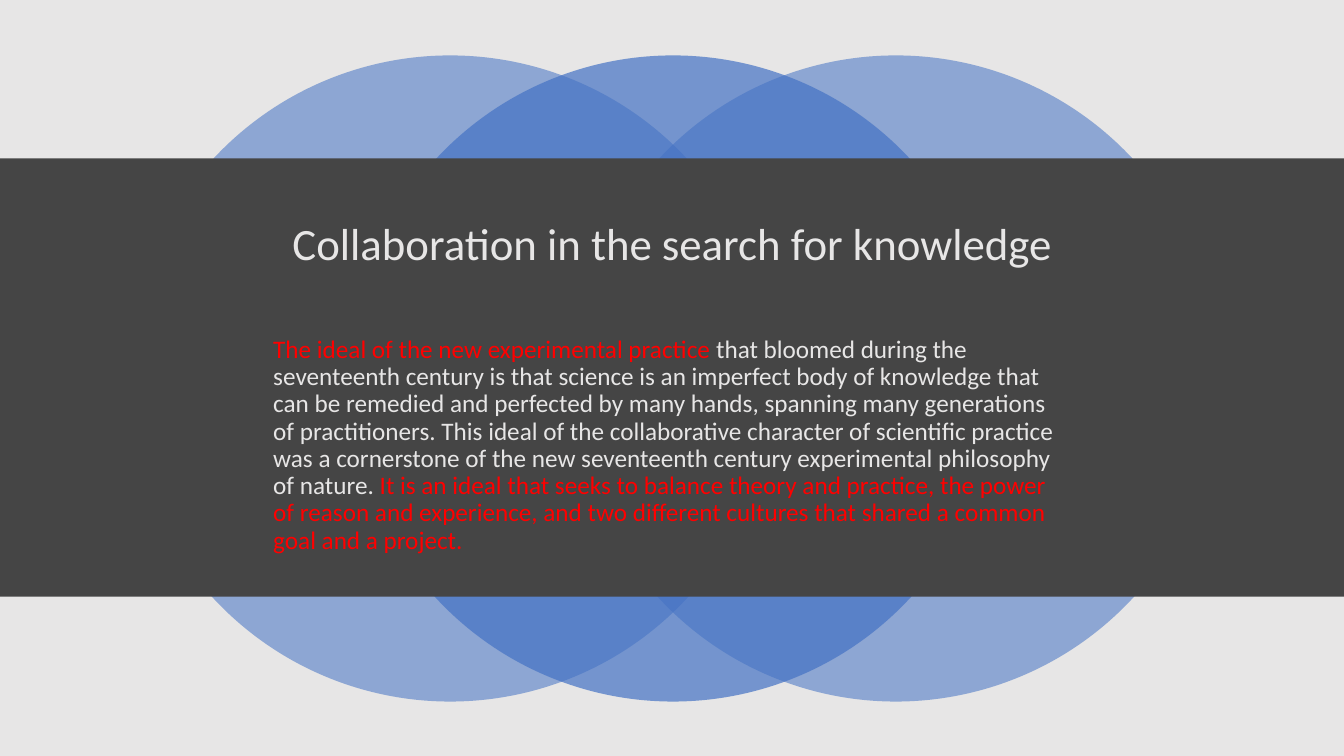
from dataclasses import dataclass

from lxml import etree
from pptx import Presentation
from pptx.dml.color import RGBColor
from pptx.enum import shapes, text
from pptx.oxml import ns
from pptx.util import Inches, Pt


@dataclass(frozen=True)
class Theme:
    dark: str = "454545"
    light: str = "E7E6E6"
    blue: str = "4472C4"
    red: str = "FF0000"
    font: str = "Calibri"
    head: int = 32
    body: int = 18


THEME = Theme()
TITLE = "Collaboration in the search for knowledge"
BODY = [
    ("The ideal of the new experimental practice ", THEME.red),
    ("that bloomed during the seventeenth century is that science is an "
     "imperfect body of knowledge that can be remedied and perfected by many "
     "hands, spanning many generations of practitioners. This ideal of the "
     "collaborative character of scientific practice was a cornerstone of the "
     "new seventeenth century experimental philosophy of nature. ", THEME.light),
    ("It is an ideal that seeks to balance theory and practice, the power of "
     "reason and experience, and two different cultures that shared a common "
     "goal and a project.", THEME.red),
]


def put(item, form):
    for name, value in form.items():
        setattr(item, name, value)


def place(item, box):
    put(item, dict(zip(("left", "top", "width", "height"), map(Inches, box))))


def draw(parent, kind, box, color, alpha=100):
    """Add a plain filled shape, its opacity given in percent."""
    shape = parent.shapes.add_shape(kind, *map(Inches, box))
    shape.shadow.inherit = False
    shape.fill.solid()
    shape.fill.fore_color.rgb = RGBColor.from_string(color)
    shape.line.fill.background()
    if alpha < 100:
        tint = shape._element.spPr.find(".//" + ns.qn("a:srgbClr"))
        etree.SubElement(tint, ns.qn("a:alpha"), val=str(alpha * 1000))


def rings(slide, box):
    """Overlap three circles across the box, the middle one in front."""
    left, top, width, size = box
    group = slide.shapes.add_group_shape()
    step = (width - size) / 2
    for spot, alpha in ((0, 55), (2, 55), (1, 70)):
        draw(group, shapes.MSO_SHAPE.OVAL,
             (left + spot * step, top, size, size), THEME.blue, alpha)


def write(holder, box, runs, size, frame, para):
    """Fill a placeholder with one paragraph and bring it to the front."""
    place(holder, box)
    body = holder.text_frame
    put(body, {"word_wrap": True, "auto_size": text.MSO_AUTO_SIZE.NONE, **frame})
    line = body.paragraphs[0]
    put(line, {"line_spacing": 0.9, **para})
    props = line._p.get_or_add_pPr()
    props.set("marL", "0")
    props.set("indent", "0")
    etree.SubElement(props, ns.qn("a:buNone"))
    for words, color in runs:
        run = line.add_run()
        run.text = words
        put(run.font, {"size": Pt(size), "name": THEME.font})
        run.font.color.rgb = RGBColor.from_string(color)
    tree = holder._element.getparent()
    tree.append(holder._element)


def band(slide, box):
    """Lay the dark band with the title and the body text on it."""
    left, top, width, height = box
    draw(slide, shapes.MSO_SHAPE.RECTANGLE, box, THEME.dark)
    title, body = slide.placeholders
    write(title, (left + 0.92, top + 0.36, width - 1.83, 1.02),
          [(TITLE, THEME.light)], THEME.head,
          {"vertical_anchor": text.MSO_ANCHOR.MIDDLE},
          {"alignment": text.PP_ALIGN.CENTER, "space_before": Pt(0)})
    write(body, (left + 2.61, top + 1.72, width - 5.21, height - 2.04),
          BODY, THEME.body,
          {"vertical_anchor": text.MSO_ANCHOR.TOP},
          {"alignment": text.PP_ALIGN.LEFT, "space_before": Pt(10)})


def main():
    wide, high = 13.33, 7.5
    deck = Presentation()
    put(deck, {"slide_width": Inches(wide), "slide_height": Inches(high)})
    slide = deck.slides.add_slide(deck.slide_layouts[1])
    back = slide.background.fill
    back.solid()
    back.fore_color.rgb = RGBColor.from_string(THEME.dark)
    draw(slide, shapes.MSO_SHAPE.RECTANGLE, (0, 0, wide, high), THEME.light)
    rings(slide, (1.26, 0.55, 10.83, 6.41))
    band(slide, (0, 1.57, wide, 4.35))
    deck.save("out.pptx")


if __name__ == "__main__":
    main()
